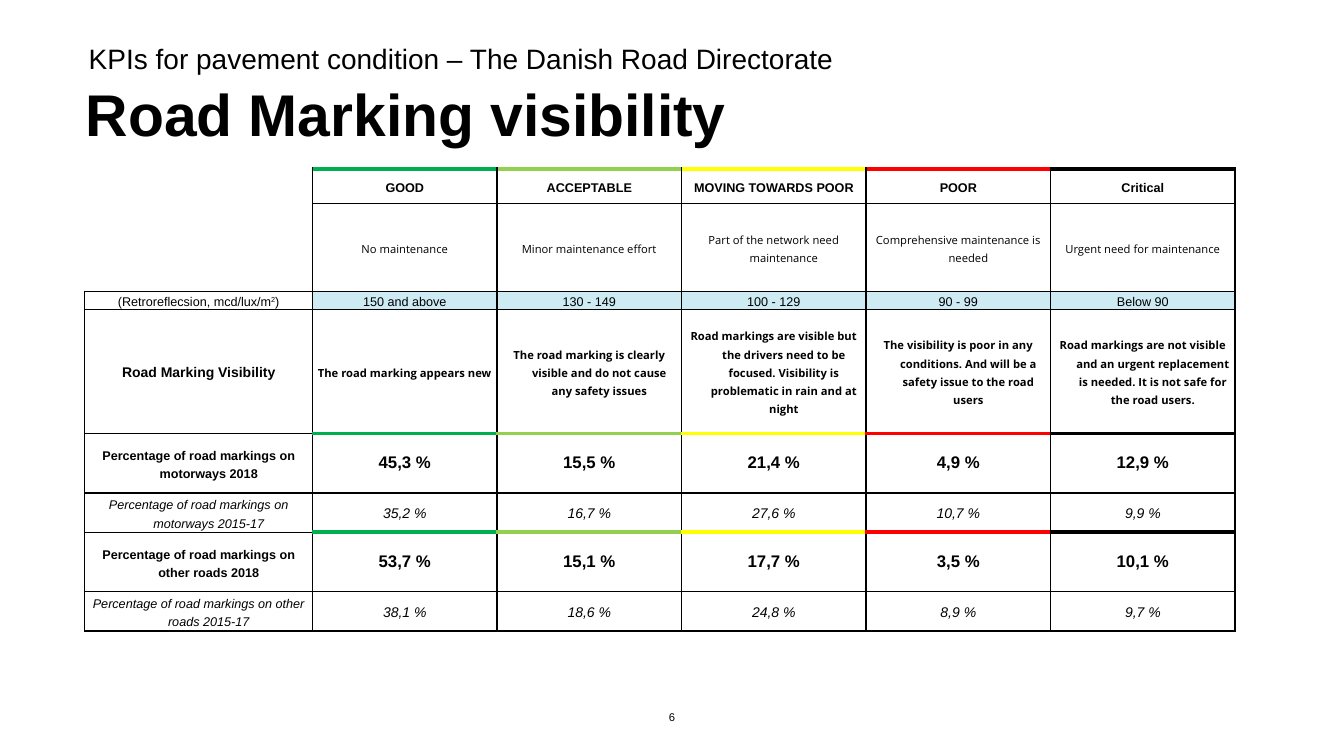
from dataclasses import dataclass

from lxml import etree
from pptx import Presentation, util as u
from pptx.dml.color import RGBColor
from pptx.enum import text
from pptx.oxml.ns import qn

TITLE = "Road Marking visibility"
SUBTITLE = "KPIs for pavement condition – The Danish Road Directorate"
PAGE_NUMBER = "6"

ROWS = [
    ("heading", 0.34, "", ["GOOD", "ACCEPTABLE", "MOVING TOWARDS POOR", "POOR", "Critical"]),
    ("effort", 0.87, "", [
        "No maintenance",
        "Minor maintenance effort",
        "Part of the network need maintenance",
        "Comprehensive maintenance is needed",
        "Urgent need for maintenance",
    ]),
    ("range", 0.16, "(Retroreflecsion, mcd/lux/m^2^)",
     ["150 and above", "130 - 149", "100 - 129", "90 - 99", "Below 90"]),
    ("visibility", 1.23, "Road Marking Visibility", [
        "The road marking appears new",
        "The road marking is clearly visible and do not cause any safety issues",
        "Road markings are visible but the drivers need to be focused. "
        "Visibility is problematic in rain and at night",
        "The visibility is poor in any conditions. And will be a safety issue to the road users",
        "Road markings are not visible and an urgent replacement is needed. "
        "It is not safe for the road users.",
    ]),
    ("current", 0.59, "Percentage of road markings on motorways 2018",
     ["45,3 %", "15,5 %", "21,4 %", "4,9 %", "12,9 %"]),
    ("earlier", 0.39, "Percentage of road markings on motorways 2015-17",
     ["35,2 %", "16,7 %", "27,6 %", "10,7 %", "9,9 %"]),
    ("current", 0.59, "Percentage of road markings on other roads 2018",
     ["53,7 %", "15,1 %", "17,7 %", "3,5 %", "10,1 %"]),
    ("earlier", 0.39, "Percentage of road markings on other roads 2015-17",
     ["38,1 %", "18,6 %", "24,8 %", "8,9 %", "9,7 %"]),
]
RATED_EDGES = {0, 4, 6}
LABEL_WIDTH, RATING_WIDTH = 2.26, 1.83


@dataclass(frozen=True)
class Theme:
    font: str = "Arial"
    note_font: str = "Open Sans"
    ink: str = "000000"
    range_fill: str = "CEEAF3"
    ratings: tuple = ("00B050", "92D050", "FFFF00", "FF0000", "000000")
    title: int = 42
    subtitle: int = 20
    figure: int = 12
    strong: int = 10
    body: int = 9
    note: int = 8
    thin: int = 1
    thick: int = 3


THEME = Theme()
BODY = {"size": u.Pt(THEME.body)}
NOTE = {"size": u.Pt(THEME.note), "name": THEME.note_font}
BOLD, ITALIC = {"bold": True}, {"italic": True}
STYLES = {
    "heading": (BODY, BODY | BOLD),
    "effort": (BODY, NOTE),
    "range": (BODY, BODY),
    "visibility": ({"size": u.Pt(THEME.strong)} | BOLD, NOTE | BOLD),
    "current": (BODY | BOLD, {"size": u.Pt(THEME.figure)} | BOLD),
    "earlier": (BODY | ITALIC, {"size": u.Pt(THEME.strong)} | ITALIC),
}


def apply(target, values):
    for name, value in values.items():
        setattr(target, name, value)


def write(para, wording, font, layout):
    apply(para, layout)
    for index, part in enumerate(wording.split("^")):
        span = para.add_run()
        span.text = part
        apply(span.font, {"name": THEME.font} | font)
        span.font.color.rgb = RGBColor.from_string(THEME.ink)
        if index % 2:
            span.font._element.set("baseline", "30000")


def place(box, bounds, wording, font, layout, anchor):
    apply(box, dict(zip(("left", "top", "width", "height"), map(u.Inches, bounds))))
    frame = box.text_frame
    apply(frame, {
        "word_wrap": True, "auto_size": text.MSO_AUTO_SIZE.NONE, "vertical_anchor": anchor,
        "margin_left": 0, "margin_right": 0, "margin_top": 0, "margin_bottom": 0,
    })
    write(frame.paragraphs[0], wording, font, layout)


def draw_borders(cell, edges):
    properties = cell._tc.get_or_add_tcPr()
    for index, (side, (color, width)) in enumerate(edges.items()):
        line = etree.Element(qn(f"a:ln{side}"), w=str(u.Pt(width)))
        fill = etree.SubElement(line, qn("a:solidFill"))
        etree.SubElement(fill, qn("a:srgbClr"), val=color)
        properties.insert(index, line)


def cell_edges(row, column):
    thin = (THEME.ink, THEME.thin)
    if column == 0:
        return dict.fromkeys("RB" if row < 2 else "LRTB", thin)
    thick = (THEME.ratings[column - 1], THEME.thick)
    return {
        "L": thin, "R": thin,
        "T": thick if row in RATED_EDGES else thin,
        "B": thick if row + 1 in RATED_EDGES else thin,
    }


def fill_cell(cell, wording, font, shade):
    inset = u.Inches(0.04 if font.get("name") == THEME.note_font else 0.07)
    apply(cell, {
        "vertical_anchor": text.MSO_ANCHOR.MIDDLE, "margin_left": inset,
        "margin_right": inset, "margin_top": 0, "margin_bottom": 0,
    })
    if shade:
        cell.fill.solid()
        cell.fill.fore_color.rgb = RGBColor.from_string(shade)
    else:
        cell.fill.background()
    if wording:
        para = cell.text_frame.paragraphs[0]
        write(para, wording, font,
              {"alignment": text.PP_ALIGN.CENTER, "line_spacing": u.Pt(13)})
        indent = u.Inches(0.2)
        apply_indent = para._p.get_or_add_pPr().set
        apply_indent("marL", str(indent))
        apply_indent("indent", str(-indent))


def add_ratings(page):
    widths = [LABEL_WIDTH] + [RATING_WIDTH] * len(THEME.ratings)
    heights = [height for _, height, _, _ in ROWS]
    frame = page.shapes.add_table(
        len(ROWS), len(widths), u.Inches(0.84), u.Inches(1.68),
        u.Inches(sum(widths)), u.Inches(sum(heights)))
    table = frame.table
    apply(table, {"first_row": False, "horz_banding": False})
    style = table._tbl.tblPr.find(qn("a:tableStyleId"))
    style.text = "{2D5ABB26-0587-4C30-8999-92F81FD0307C}"
    for column, width in zip(table.columns, widths):
        column.width = u.Inches(width)
    for row, (kind, height, label, values) in enumerate(ROWS):
        table.rows[row].height = u.Inches(height)
        label_font, value_font = STYLES[kind]
        for column, wording in enumerate([label, *values]):
            cell = table.cell(row, column)
            shade = THEME.range_fill if kind == "range" and column else None
            fill_cell(cell, wording, value_font if column else label_font, shade)
            draw_borders(cell, cell_edges(row, column))
    table.cell(0, 0).merge(table.cell(1, 0))


def main():
    deck = Presentation()
    apply(deck, {"slide_width": u.Inches(13.33), "slide_height": u.Inches(7.5)})
    page = deck.slides.add_slide(deck.slide_layouts[5])
    left, bottom = text.PP_ALIGN.LEFT, text.MSO_ANCHOR.BOTTOM
    place(page.shapes.title, (0.85, 0.76, 11.6, 0.72), TITLE,
          {"size": u.Pt(THEME.title)} | BOLD,
          {"alignment": left, "line_spacing": 0.93}, bottom)
    place(page.shapes.add_textbox(0, 0, 0, 0), (0.88, 0.28, 11.57, 0.47), SUBTITLE,
          {"size": u.Pt(THEME.subtitle)},
          {"alignment": left, "line_spacing": 1.02,
           "space_before": u.Pt(6), "space_after": u.Pt(6)}, bottom)
    add_ratings(page)
    place(page.shapes.add_textbox(0, 0, 0, 0), (6.3, 6.91, 0.73, 0.4), PAGE_NUMBER,
          {"size": u.Pt(THEME.note)}, {"alignment": text.PP_ALIGN.CENTER},
          text.MSO_ANCHOR.MIDDLE)
    deck.save("out.pptx")


if __name__ == "__main__":
    main()
